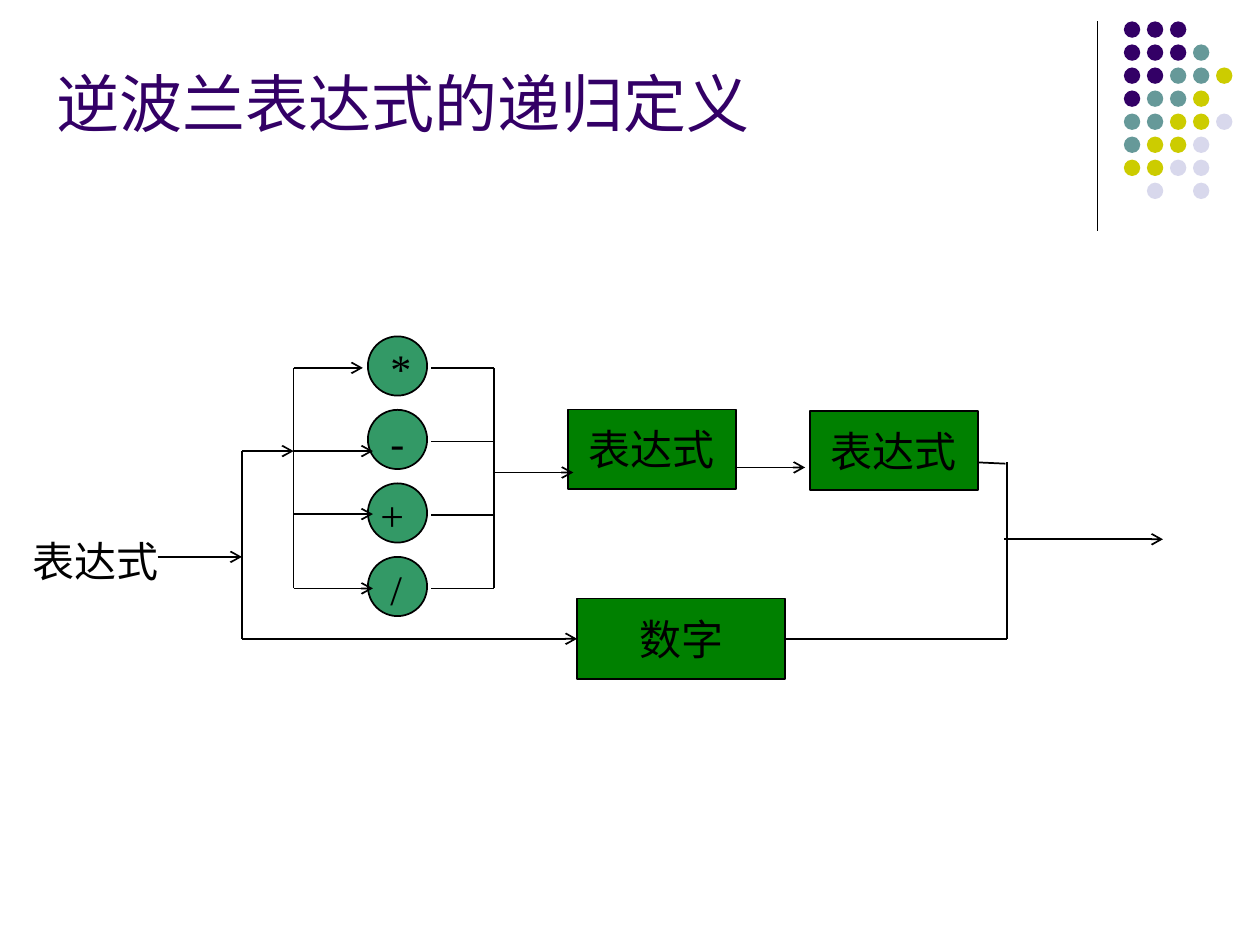
from lxml import etree
from pptx import Presentation, util as u
from pptx.dml.color import RGBColor
from pptx.enum import shapes, text
from pptx.oxml.ns import qn


def color(value):
    return RGBColor.from_string(value)


class Diagram:
    """Style and drawing methods for the current slide."""

    font, size, ink = "Times New Roman", 24, "000000"
    box_fill, circle_fill = "008000", "339966"

    def __init__(self, slide):
        self.s = slide

    def shape(self, kind, x, y, w, h, fill, outline=True):
        sp = self.s.shapes.add_shape(kind, *map(u.Inches, (x, y, w, h)))
        sp.shadow.inherit = False
        sp.fill.solid()
        sp.fill.fore_color.rgb = color(fill)
        if outline:
            sp.line.color.rgb = color(self.ink)
            sp.line.width = u.Pt(1)
        else:
            sp.line.fill.background()
        return sp

    def set_text(self, tf, words, size=None, font=None, ink=None):
        p = tf.paragraphs[0]
        p.text = words
        p.font.size = u.Pt(size or self.size)
        p.font.name = font or self.font
        p.font.color.rgb = color(ink or self.ink)
        return p

    def box(self, words, x, y, w, h):
        sp = self.shape(shapes.MSO_SHAPE.RECTANGLE, x, y, w, h, self.box_fill)
        tf = sp.text_frame
        tf.word_wrap = False
        tf.vertical_anchor = text.MSO_ANCHOR.MIDDLE
        self.set_text(tf, words).alignment = text.PP_ALIGN.CENTER
        return sp

    def circle(self, x, y):
        return self.shape(shapes.MSO_SHAPE.OVAL, x, y, 0.47, 0.47, self.circle_fill)

    def dot(self, x, y, fill):
        return self.shape(shapes.MSO_SHAPE.OVAL, x, y, 0.13, 0.13, fill, outline=False)

    def label(self, words, x, y, w, h=0.5, anchor=text.MSO_ANCHOR.TOP, **style):
        tf = self.s.shapes.add_textbox(*map(u.Inches, (x, y, w, h))).text_frame
        tf.word_wrap = True
        tf.vertical_anchor = anchor
        self.set_text(tf, words, **style)

    def line(self, x1, y1, x2, y2, arrow=False, width=1, end=None):
        c = self.s.shapes.add_connector(
            shapes.MSO_CONNECTOR.STRAIGHT, *map(u.Inches, (x1, y1, x2, y2)))
        c.line.color.rgb = color(self.ink)
        c.line.width = u.Pt(width)
        props = c._element.spPr
        if arrow:
            etree.SubElement(props.find(qn("a:ln")), qn("a:tailEnd"), type="arrow")
        etree.SubElement(props, qn("a:effectLst"))
        if end:
            c.end_connect(*end)


def draw_dots(d):
    fills = {"P": "330066", "T": "669999", "Y": "CCCC00", "L": "D8D8EC"}
    rows = ["PPP", "PPPT", "PPTTY", "PTTY", "TTYYL", "TYYL", "YYLL", "-L-L"]
    pitch = 1.28 / 7
    for i, row in enumerate(rows):
        for j, key in enumerate(row):
            if key in fills:
                d.dot(8.92 + pitch * j, 0.17 + pitch * i, fills[key])


def draw_flow(d):
    d.label("表达式", 0.16, 4.2, 1.66)
    d.box("表达式", 4.51, 3.25, 1.33, 0.63)
    d.box("表达式", 6.43, 3.26, 1.33, 0.63)
    number = d.box("数字", 4.58, 4.75, 1.65, 0.64)

    operators = [("*", 3, 2.92, 2.88), ("-", 3, 3.58, 2.96),
                 ("+", 2.92, 4.08, 2.96), ("/", 3, 4.67, 2.96)]
    pitch = 1.75 / 3
    for i, (sign, label_x, arrow_y, arrow_end) in enumerate(operators):
        top = 2.67 + pitch * i
        d.circle(2.92, top)
        d.line(2.33, arrow_y, arrow_end, arrow_y, arrow=True)
        d.line(3.92, top + 0.25, 3.42, top + 0.25)
        d.label(sign, label_x, top, 0.39)

    for x, top, bottom in [(1.92, 3.58, 5.07), (2.33, 2.92, 4.67),
                           (3.92, 2.92, 4.67), (7.99, 3.67, 5.07)]:
        d.line(x, top, x, bottom)
    for x1, x2, y in [(1.25, 1.92, 4.42), (1.92, 2.33, 3.58), (3.92, 4.55, 3.75),
                      (5.83, 6.39, 3.71), (7.97, 9.23, 4.28)]:
        d.line(x1, y, x2, y, arrow=True)
    d.line(7.98, 3.68, 7.76, 3.67)
    d.line(1.92, 5.07, 4.58, 5.07, arrow=True, end=(number, 1))
    d.line(7.99, 5.07, 6.23, 5.07, end=(number, 3))


def main():
    prs = Presentation()
    prs.slide_width, prs.slide_height = u.Inches(10), u.Inches(7.5)
    d = Diagram(prs.slides.add_slide(prs.slide_layouts[6]))
    d.line(8.71, 0.17, 8.71, 1.83, width=0.75)
    draw_dots(d)
    draw_flow(d)
    d.label("逆波兰表达式的递归定义", 0.35, 0.21, 8.25, 0.95, text.MSO_ANCHOR.BOTTOM,
            size=36, font="Noto Sans CJK SC", ink="330066")
    prs.save("out.pptx")


if __name__ == "__main__":
    main()
